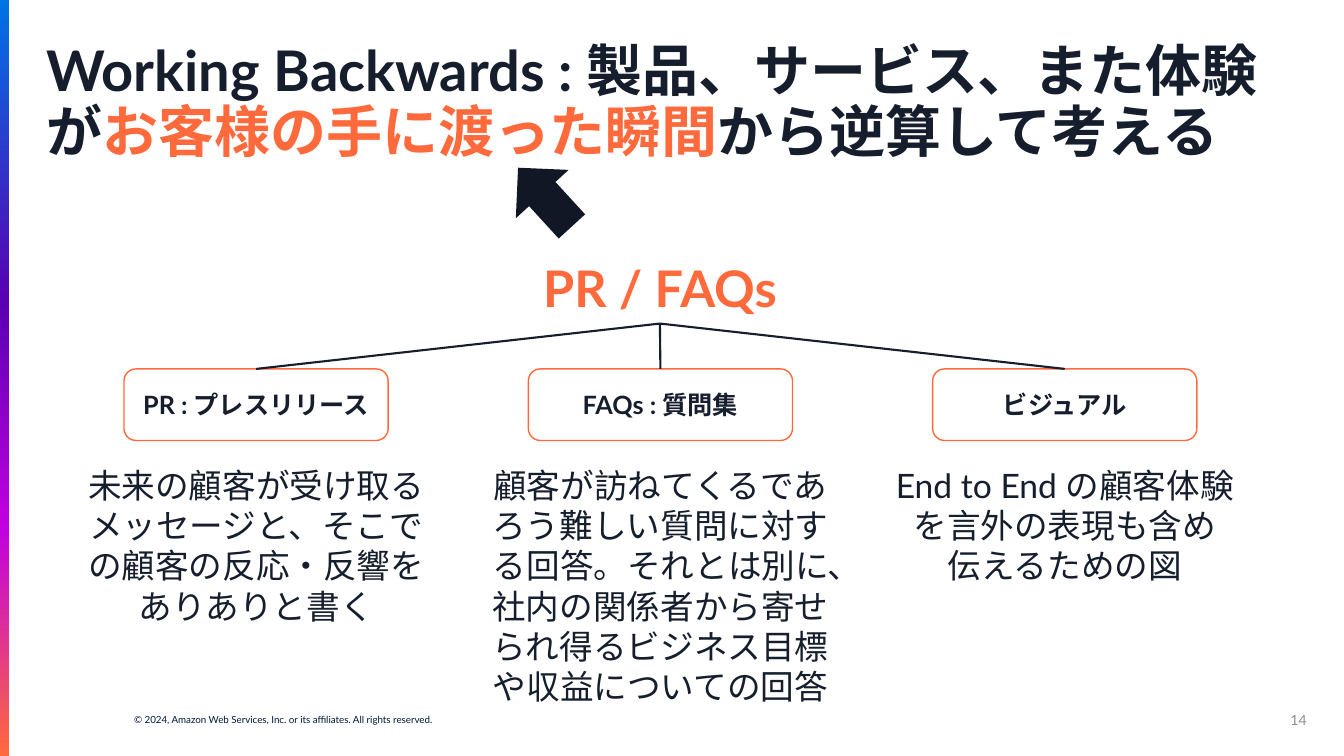
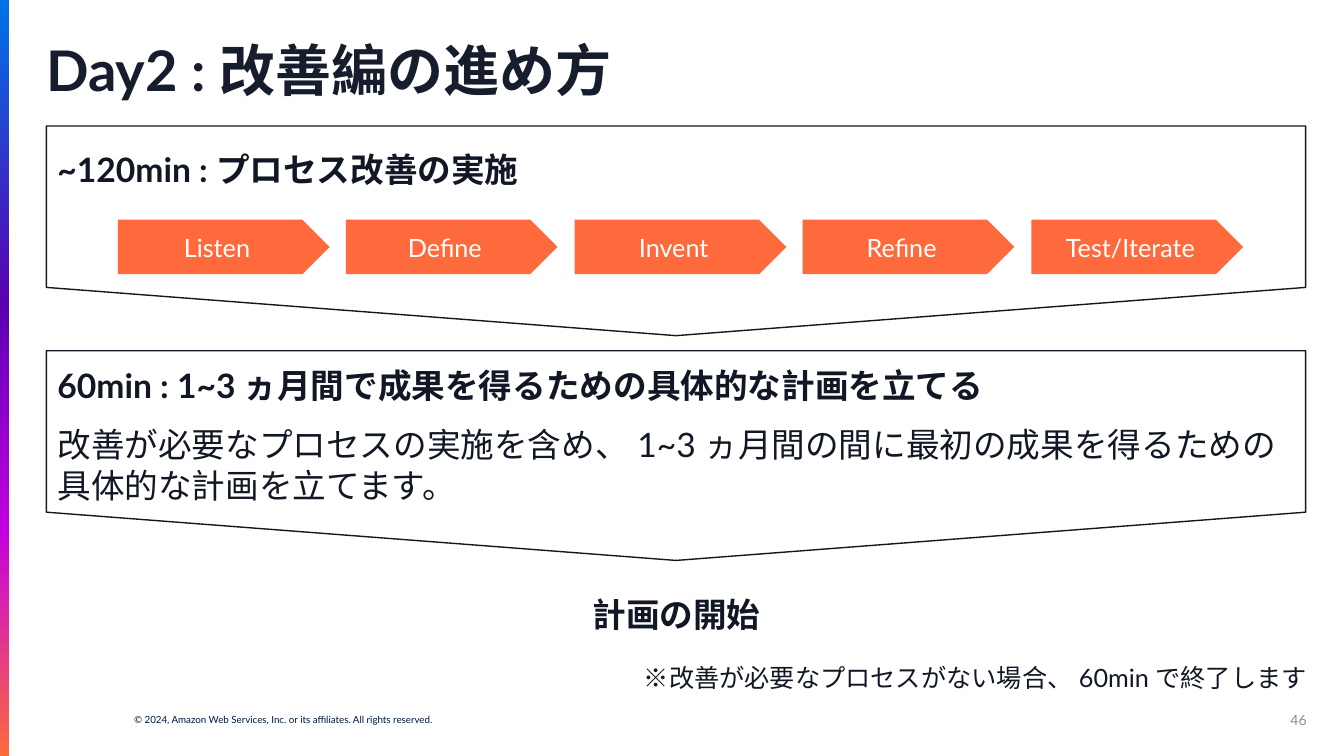
import pptx
import pptx.util
import pptx.dml.color
import pptx.enum.shapes
import pptx.enum.text
import pptx.oxml
import pptx.oxml.ns

SHAPE = pptx.enum.shapes.MSO_SHAPE
ALIGN = pptx.enum.text.PP_ALIGN
ANCHOR = pptx.enum.text.MSO_ANCHOR

EMU_PER_PX = 9144  # 100 px to the inch
WIDTH, HEIGHT = 1333, 750

COLORS = {
    "ink": "161E2D",
    "dark": "111724",
    "accent": "FF6A3D",
    "white": "FFFFFF",
    "footer": "00193D",
    "number": "8C8D8F",
}
BAND_STOPS = [(0, "0073E5"), (40, "5900B2"), (70, "C300E0"), (100, "FF6A3D")]
COPYRIGHT = "© 2024, Amazon Web Services, Inc. or its affiliates. All rights reserved."


def px(*lengths):
    return [round(length * EMU_PER_PX) for length in lengths]


def rgb(color):
    return pptx.dml.color.RGBColor.from_string(COLORS[color])


class Deck:
    FONT = "Lato"

    def __init__(self):
        self.prs = pptx.Presentation()
        self.prs.slide_width, self.prs.slide_height = px(WIDTH, HEIGHT)
        self.slide = None

    def new_slide(self, title, number):
        """Start a slide with its band, footer, title and page number."""
        self.slide = self.prs.slides.add_slide(self.prs.slide_layouts[6])
        self.text(133, 708, 534, 12, [COPYRIGHT], 7, "footer", inset=0)
        self.band()
        self.text(46, 38, 1249, 71, [title], 40, bold=True, spacing=0.9)
        self.text(996, 694, 300, 40, [str(number)], 10, "number",
                  align=ALIGN.RIGHT, anchor=ANCHOR.MIDDLE, inset=0)

    def band(self):
        band = self.shape(SHAPE.RECTANGLE, 0, 0, 9, HEIGHT)
        band.fill.gradient()
        band.fill.gradient_angle = 270
        stops = band._element.spPr.find(".//" + pptx.oxml.ns.qn("a:gsLst"))
        for stop in list(stops):
            stops.remove(stop)
        for position, color in BAND_STOPS:
            stops.append(pptx.oxml.parse_xml(
                f'<a:gs {pptx.oxml.ns.nsdecls("a")} pos="{position * 1000}">'
                f'<a:srgbClr val="{color}"/></a:gs>'))

    def shape(self, kind, left, top, width, height, fill=None, line=None, rotation=0):
        shape = self.slide.shapes.add_shape(kind, *px(left, top, width, height))
        shape.shadow.inherit = False
        shape.rotation = rotation
        if fill:
            shape.fill.solid()
            shape.fill.fore_color.rgb = rgb(fill)
        else:
            shape.fill.background()
        if line:
            shape.line.color.rgb = rgb(line)
            shape.line.width = pptx.util.Pt(1)
        else:
            shape.line.fill.background()
        return shape

    def label(self, shape, text, color, bold=False):
        """Centre a label in a shape."""
        shape.text_frame.vertical_anchor = ANCHOR.MIDDLE
        self.fill_frame(shape.text_frame, [text], 18, color, bold, ALIGN.CENTER)

    def text(self, left, top, width, height, paragraphs, size, color="ink", bold=False,
             align=ALIGN.LEFT, anchor=ANCHOR.TOP, inset=5, spacing=None):
        box = self.slide.shapes.add_textbox(*px(left, top, width, height))
        frame = box.text_frame
        frame.margin_left = frame.margin_right = 0
        frame.margin_top = frame.margin_bottom = px(inset)[0]
        frame.vertical_anchor = anchor
        self.fill_frame(frame, paragraphs, size, color, bold, align, spacing)
        return box

    def fill_frame(self, frame, paragraphs, size, color, bold, align, spacing=None):
        """A paragraph is a string, or a list of (text, colour) pairs."""
        frame.word_wrap = True
        for index, content in enumerate(paragraphs):
            paragraph = frame.add_paragraph() if index else frame.paragraphs[0]
            paragraph.alignment = align
            paragraph.line_spacing = spacing
            pieces = [(content, color)] if isinstance(content, str) else content
            for piece, piece_color in pieces:
                run = paragraph.add_run()
                run.text = piece
                run.font.size = pptx.util.Pt(size)
                run.font.bold = bold
                run.font.color.rgb = rgb(piece_color)
                run.font.name = self.FONT
                run.font._element.append(pptx.oxml.parse_xml(
                    f'<a:ea {pptx.oxml.ns.nsdecls("a")} typeface="{self.FONT}"/>'))

    def branch(self, child, parent):
        """Join the top of a child to the bottom of its parent."""
        line = self.slide.shapes.add_connector(
            pptx.enum.shapes.MSO_CONNECTOR.STRAIGHT, 0, 0, 0, 0)
        line.begin_connect(child, 0)
        line.end_connect(parent, 2)
        line.line.color.rgb = rgb("ink")
        line.line.width = pptx.util.Pt(1.5)
        line._element.spPr.append(pptx.oxml.parse_xml(
            f'<a:effectLst {pptx.oxml.ns.nsdecls("a")}/>'))

    def stage(self, top):
        """Outline a wide panel that points down to the next stage."""
        width, height = 1249, 208
        center_x, center_y = 46 + width / 2, top + height / 2
        panel = self.shape(SHAPE.PENTAGON, center_x - height / 2, center_y - width / 2,
                           height, width, line="dark", rotation=90)
        panel.adjustments[0] = 0.23


def working_backwards(deck):
    deck.new_slide([("Working Backwards : 製品、サービス、また体験が", "ink"),
                    ("お客様の手に渡った瞬間", "accent"),
                    ("から逆算して考える", "ink")], 14)
    deck.shape(SHAPE.LEFT_ARROW, 501, 160, 79, 71, fill="dark", rotation=47.5)
    heading = deck.text(459, 250, 391, 71, ["PR / FAQs"], 36, "accent", bold=True,
                        align=ALIGN.CENTER)

    # Three documents, each with its description
    documents = [
        ("PR : プレスリリース",
         ["未来の顧客が受け取るメッセージと、そこでの顧客の反応・反響を", "ありありと書く"]),
        ("FAQs : 質問集",
         ["顧客が訪ねてくるであろう難しい質問に対する回答。それとは別に、"
          "社内の関係者から寄せられ得るビジネス目標や収益についての回答"]),
        ("ビジュアル",
         ["End to End の顧客体験を言外の表現も含め", "伝えるための図"]),
    ]
    for column, (name, description) in enumerate(documents):
        left = 123 + 401 * column
        document = deck.shape(SHAPE.ROUNDED_RECTANGLE, left, 366, 262, 71, line="accent")
        deck.label(document, name, "ink", bold=True)
        deck.branch(document, heading)
        deck.text(left - 48, 456, 358, 252, description, 24, align=ALIGN.CENTER)


def improvement_day(deck):
    deck.new_slide("Day2 : 改善編の進め方", 46)

    # Process improvement
    deck.stage(125)
    deck.text(57, 143, 1066, 50, ["~120min : プロセス改善の実施"], 24, "dark", bold=True)
    for index, name in enumerate(["Listen", "Define", "Invent", "Refine", "Test/Iterate"]):
        step = deck.shape(SHAPE.PENTAGON, 117 + 906 * index // 4, 218, 210, 54, fill="accent")
        deck.label(step, name, "white")

    # Planning
    deck.stage(348)
    deck.text(57, 357, 1066, 50,
              ["60min : 1~3 ヵ月間で成果を得るための具体的な計画を立てる"],
              24, "dark", bold=True)
    deck.text(57, 416, 1230, 91,
              ["改善が必要なプロセスの実施を含め、 1~3 ヵ月間の間に最初の成果を得るための"
               "具体的な計画を立てます。"], 24, "dark")

    # Outcome and note
    deck.text(138, 584, 1066, 50, ["計画の開始"], 24, "dark", bold=True, align=ALIGN.CENTER)
    deck.text(230, 652, 1066, 40,
              ["※改善が必要なプロセスがない場合、 60min で終了します"],
              18, "dark", align=ALIGN.RIGHT)


def main():
    deck = Deck()
    working_backwards(deck)
    improvement_day(deck)
    deck.prs.save("out.pptx")


if __name__ == "__main__":
    main()
